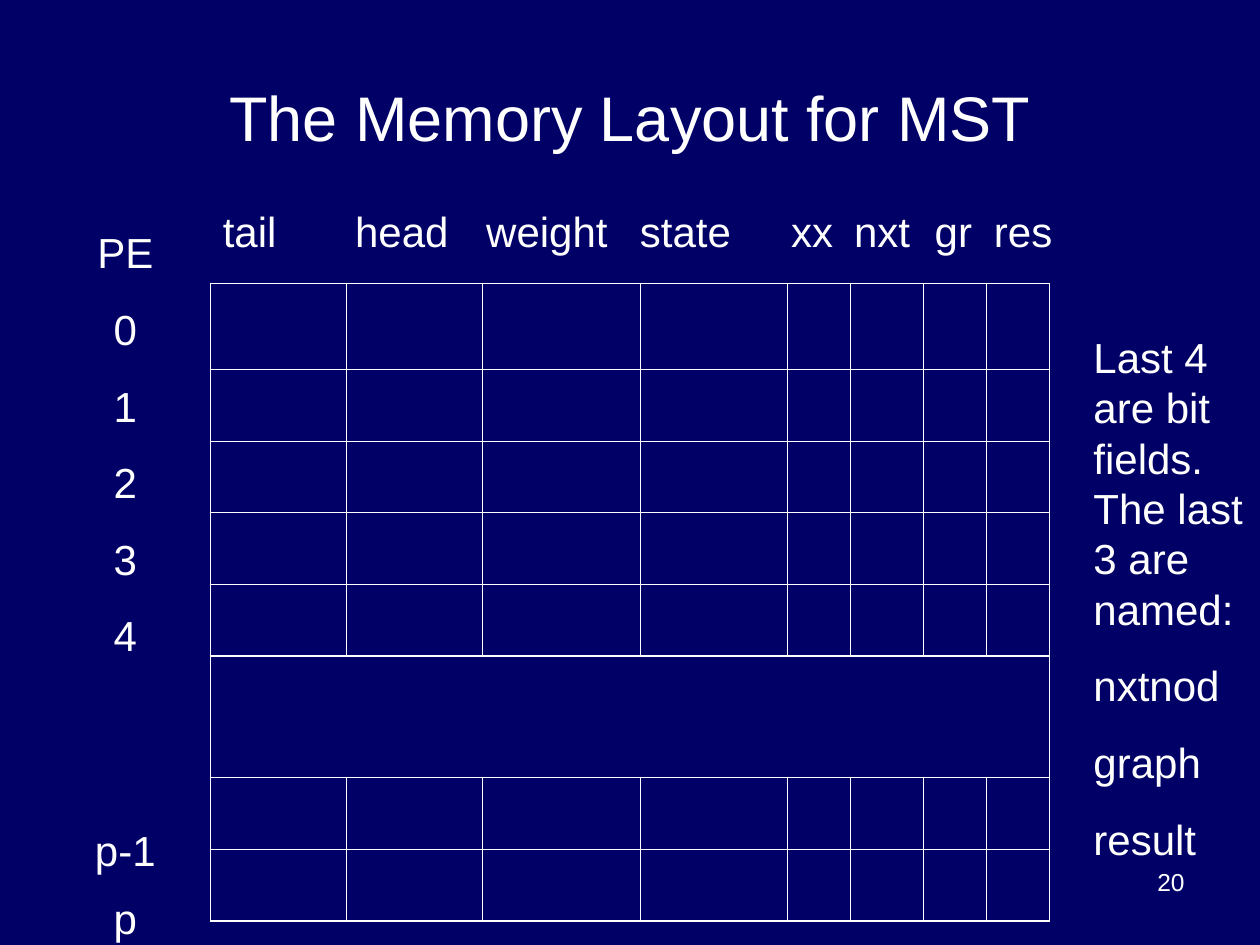
"""Build the slide showing the memory layout for MST."""
from lxml import etree
from pptx import Presentation
from pptx.dml.color import RGBColor
from pptx.enum.shapes import MSO_CONNECTOR as CONN
from pptx.enum.text import MSO_ANCHOR as ANCHOR, PP_ALIGN as ALIGN
from pptx.oxml import parse_xml
from pptx.oxml.ns import nsdecls, qn
from pptx.util import Inches, Pt

WHITE = "FFFFFF"


def rgb(value):
    return RGBColor.from_string(value)


def add_text(s, box, lines, size=24, align=ALIGN.LEFT, anchor=ANCHOR.TOP, leading=28.8):
    tf = s.shapes.add_textbox(*map(Inches, box)).text_frame
    tf.word_wrap = True
    tf.vertical_anchor = anchor
    for i, (text, before) in enumerate(lines):
        p = tf.paragraphs[0] if i == 0 else tf.add_paragraph()
        p.text = text
        p.alignment = align
        p.space_before = Pt(before)
        if leading:
            p.line_spacing = Pt(leading)
        p.font.size = Pt(size)
        p.font.name = "Arial"
        p.font.color.rgb = rgb(WHITE)
    return tf


prs = Presentation()
prs.slide_width, prs.slide_height = Inches(10), Inches(7.5)
s = prs.slides.add_slide(prs.slide_layouts[6])
s.background.fill.solid()
s.background.fill.fore_color.rgb = rgb("000066")

add_text(s, (0.5, 0.3, 9, 1.25), [("The Memory Layout for MST", 0)], 36,
         ALIGN.CENTER, ANCHOR.MIDDLE, None)

col_widths = [1.08, 1.08, 1.25, 1.17, 0.5, 0.58, 0.5, 0.5]
for top, row_heights in [(2.25, [0.68] + [0.57] * 4), (6.17, [0.57] * 2)]:
    n_rows, n_cols = len(row_heights), len(col_widths)
    table = s.shapes.add_table(n_rows, n_cols, Inches(1.67), Inches(top),
                               Inches(sum(col_widths)), Inches(sum(row_heights))).table
    table.first_row = table.horz_banding = False
    for col, width in zip(table.columns, col_widths):
        col.width = Inches(width)
    for r, height in enumerate(row_heights):
        table.rows[r].height = Inches(height)
        for c in range(n_cols):
            cell = table.cell(r, c)
            cell.fill.background()
            outer = {"L": c == 0, "R": c == n_cols - 1, "T": r == 0, "B": r == n_rows - 1}
            for i, (side, is_outer) in enumerate(outer.items()):
                cell._tc.get_or_add_tcPr().insert(i, parse_xml(
                    f'<a:ln{side} {nsdecls("a")} w="{Pt(1.08 if is_outer else 0.45)}">'
                    f'<a:solidFill><a:srgbClr val="{WHITE}"/></a:solidFill></a:ln{side}>'))

for x, top, bottom in [(1.67, 5, 6.25), (8.33, 5.08, 6.17)]:
    line = s.shapes.add_connector(CONN.STRAIGHT, Inches(x), Inches(top), Inches(x), Inches(bottom))
    line.line.color.rgb = rgb(WHITE)
    line.line.width = Pt(0.75)
    etree.SubElement(line._element.spPr, qn("a:effectLst"))

pe_lines = [("PE", 0)] + [(str(n), 15) for n in range(5)] + [("p-1", 93.6), ("p", 10.5)]
add_text(s, (0.58, 1.75, 0.83, 5.79), pe_lines, align=ALIGN.CENTER)

fields = ["tail", "head", "weight", "state", "xx", "nxt", "gr", "res"]
tf = add_text(s, (1.67, 1.58, 7.08, 0.5), [("\t".join(fields), 0)])
tabs = etree.Element(qn("a:tabLst"))
for pos in [1.05, 2.09, 3.31, 4.51, 5.01, 5.65, 6.12]:
    etree.SubElement(tabs, qn("a:tab"), pos=str(Inches(pos)), algn="l")
tf.paragraphs[0]._p.pPr.find(qn("a:defRPr")).addprevious(tabs)

add_text(s, (8.58, 2.58, 1.42, 4.33),
         [("Last 4 are bit fields. The last 3 are named:", 0),
          ("nxtnod", 15), ("graph", 15), ("result", 15)])
add_text(s, (7.17, 6.83, 2.33, 0.52), [("20", 0)], 14, ALIGN.RIGHT, leading=None)

prs.save("out.pptx")
